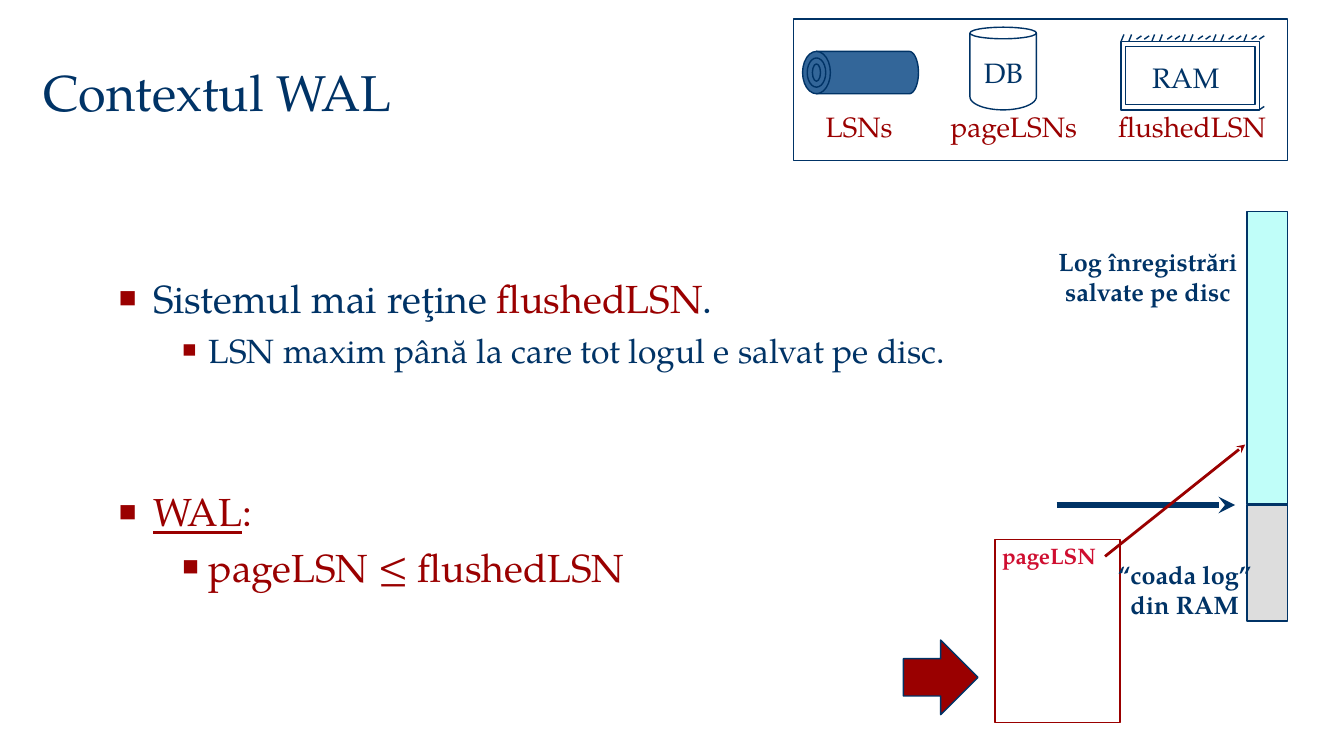
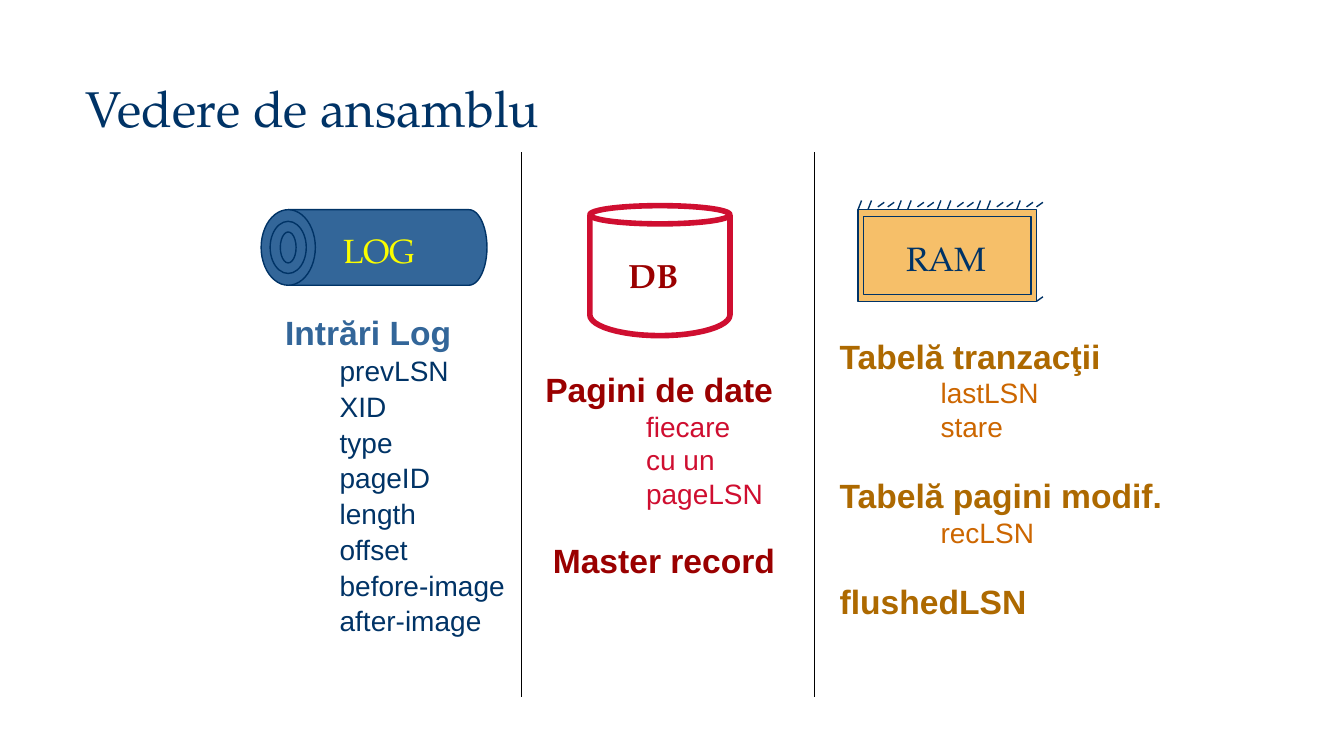
from math import cos, pi, sin

from lxml.etree import SubElement
from pptx import Presentation
from pptx.dml.color import RGBColor
from pptx.enum.shapes import MSO_CONNECTOR, MSO_SHAPE
from pptx.enum.text import MSO_ANCHOR, PP_ALIGN
from pptx.oxml.ns import qn
from pptx.util import Inches, Pt

NAVY = RGBColor(0x00, 0x33, 0x66)
BLUE = RGBColor(0x33, 0x66, 0x99)
DARK_RED = RGBColor(0x9A, 0x00, 0x00)
RED = RGBColor(0xCF, 0x0E, 0x30)
BROWN = RGBColor(0xAD, 0x69, 0x00)
ORANGE = RGBColor(0xCC, 0x66, 0x00)
SAND = RGBColor(0xF6, 0xBF, 0x69)
YELLOW = RGBColor(0xFA, 0xFD, 0x00)
AQUA = RGBColor(0xC0, 0xFE, 0xF9)
GREY = RGBColor(0xDD, 0xDD, 0xDD)
WHITE = RGBColor(0xFF, 0xFF, 0xFF)
BLACK = RGBColor(0x00, 0x00, 0x00)
SERIF, SANS = "TeX Gyre Pagella", "Arial"

LEVEL1 = dict(margin=0.34, hang=0.34, bullet=75)
LEVEL2 = dict(margin=0.89, hang=0.26, bullet=70, before=6)
WAL_POINTS = [
    ([("Sistemul mai reţine ", {}), ("flushedLSN", dict(color=DARK_RED)), (".", {})], LEVEL1),
    ("LSN maxim până la care tot logul e salvat pe disc.", dict(LEVEL2, size=24)),
    ([("WAL", dict(underline=True)), (":", {})], dict(LEVEL1, before=84, color=DARK_RED)),
    ("pageLSN ≤ flushedLSN", dict(LEVEL2, color=DARK_RED)),
]
LEGEND = [("LSNs", 8.09, 0.87), ("pageLSNs", 9.33, 1.47), ("flushedLSN", 10.99, 1.68)]

LOG_FIELDS = ["prevLSN", "XID", "type", "pageID", "length", "offset",
              "before-image", "after-image"]
PAGE_FIELD = dict(size=20, color=RED, bold=False, margin=1)
DATA_PAGES = ["Pagini de date"] + [(t, PAGE_FIELD) for t in ("fiecare", "cu un", "pageLSN")]
RAM_FIELD = dict(size=20, color=ORANGE, bold=False, margin=1)
RAM_TABLES = [
    "Tabelă tranzacţii", ("lastLSN", RAM_FIELD), ("stare", RAM_FIELD),
    ("Tabelă pagini modif.", dict(before=23)), ("recLSN", RAM_FIELD),
    ("flushedLSN", dict(before=23)),
]


def text(s, x, y, w, h, lines, wrap=False, anchor=MSO_ANCHOR.TOP, **base):
    tf = s.shapes.add_textbox(Inches(x), Inches(y), Inches(w), Inches(h)).text_frame
    tf.word_wrap, tf.vertical_anchor = wrap, anchor
    for i, line in enumerate([lines] if isinstance(lines, str) else lines):
        content, own = (line, {}) if isinstance(line, str) else line
        fmt = {**base, **own}
        p = tf.paragraphs[0] if i == 0 else tf.add_paragraph()
        p.alignment = fmt.get("align", PP_ALIGN.LEFT)
        p.space_before = Pt(fmt.get("before", 0) if i else 0)
        indent(p, **{k: fmt[k] for k in ("margin", "hang", "bullet") if k in fmt})
        for part, extra in [(content, {})] if isinstance(content, str) else content:
            look = {**fmt, **extra}
            r = p.add_run()
            r.text = part
            r.font.name = look.get("font", SERIF)
            r.font.size = Pt(look["size"])
            r.font.bold = look.get("bold", False)
            r.font.underline = look.get("underline", False)
            r.font.color.rgb = look.get("color", NAVY)


def indent(p, margin=0, hang=0, bullet=None):
    pPr = p._p.get_or_add_pPr()
    pPr.set("marL", str(Inches(margin)))
    pPr.set("indent", str(-Inches(hang)))
    if bullet:
        SubElement(SubElement(pPr, qn("a:buClr")), qn("a:srgbClr"), val=str(DARK_RED))
        SubElement(pPr, qn("a:buSzPct"), val=str(bullet * 1000))
        SubElement(pPr, qn("a:buFont"), typeface=SANS)
        SubElement(pPr, qn("a:buChar"), char="■")


def paint(sp, fill, line, weight):
    sp.shadow.inherit = False
    if fill is None:
        sp.fill.background()
    else:
        sp.fill.solid()
        sp.fill.fore_color.rgb = fill
    sp.line.color.rgb = line
    sp.line.width = Pt(weight)


def shape(s, kind, x, y, w, h, fill=None, line=NAVY, weight=1):
    sp = s.shapes.add_shape(kind, Inches(x), Inches(y), Inches(w), Inches(h))
    paint(sp, fill, line, weight)


def outline(s, points, close, fill=None, line=NAVY, weight=1):
    (x, y), *rest = [(Inches(px), Inches(py)) for px, py in points]
    fb = s.shapes.build_freeform(x, y, scale=1.0)
    fb.add_line_segments(rest, close=close)
    paint(fb.convert_to_shape(), fill, line, weight)


def line(s, x1, y1, x2, y2, color=NAVY, weight=1, arrow=False):
    c = s.shapes.add_connector(MSO_CONNECTOR.STRAIGHT, Inches(x1), Inches(y1),
                               Inches(x2), Inches(y2))
    c.line.color.rgb = color
    c.line.width = Pt(weight)
    if arrow:
        SubElement(c.line._get_or_add_ln(), qn("a:tailEnd"), type="stealth")
    SubElement(c._element.spPr, qn("a:effectLst"))


def half_arc(cx, cy, rx, ry, start, steps=24):
    angles = [start + pi * i / steps for i in range(steps + 1)]
    return [(cx + rx * cos(a), cy + ry * sin(a)) for a in angles]


def log_roll(s, x, y, w, h):
    cx, cy, cap = x + 0.12 * w, y + h / 2, 0.08 * w
    end = half_arc(x + w - cap, cy, cap, h / 2, -pi / 2)
    outline(s, [(cx, y)] + end + [(cx, y + h)], True, fill=BLUE)
    for rw, rh in ((0.24, 1), (0.16, 0.69), (0.07, 0.41)):
        shape(s, MSO_SHAPE.OVAL, cx - rw * w / 2, cy - rh * h / 2, rw * w, rh * h, fill=BLUE)


def disk(s, x, y, w, h, color=NAVY, weight=1):
    lid, base = 0.14 * h, 0.16 * h
    top, bottom = y + lid / 2, y + h - base
    curve = half_arc(x + w / 2, bottom, w / 2, base, 0)
    outline(s, [(x + w, top)] + curve + [(x, top)], False, line=color, weight=weight)
    shape(s, MSO_SHAPE.OVAL, x, y, w, lid, line=color, weight=weight)


def ram_chip(s, x, y, w, h, fill=None):
    shape(s, MSO_SHAPE.RECTANGLE, x, y, w, h, fill=fill)
    shape(s, MSO_SHAPE.RECTANGLE, x + 0.03 * w, y + 0.075 * h, 0.94 * w, 0.85 * h)
    gaps = 18
    for i in range(gaps + 1):
        px = x + w * i / gaps
        if i % 4 < 2 and i < gaps - 1:
            line(s, px, y, px + 0.02 * w, y - 0.1 * h)
        else:
            line(s, px, y - 0.03 * h, px + 0.036 * w, y - 0.08 * h)
    line(s, x + w, y + h, x + 1.036 * w, y + 0.95 * h)


def title(s, x, y, w, words):
    text(s, x, y, w, 0.71, words, wrap=True, anchor=MSO_ANCHOR.MIDDLE, size=36)


def wal_context(s):
    shape(s, MSO_SHAPE.RECTANGLE, 7.87, 0.19, 4.9, 1.4, fill=WHITE)
    title(s, 0.33, 0.55, 7.4, "Contextul WAL")
    log_roll(s, 7.96, 0.51, 1.15, 0.42)
    disk(s, 9.62, 0.27, 0.66, 0.82)
    ram_chip(s, 11.12, 0.41, 1.37, 0.68)
    text(s, 9.66, 0.5, 0.59, 0.43, "DB", size=20)
    text(s, 11.33, 0.55, 0.87, 0.43, "RAM", size=20)
    for label, x, w in LEGEND:
        text(s, x, 1.04, w, 0.43, label, size=20, color=DARK_RED)

    shape(s, MSO_SHAPE.RECTANGLE, 12.37, 2.1, 0.4, 2.9, fill=AQUA)
    shape(s, MSO_SHAPE.RECTANGLE, 12.37, 5.01, 0.4, 1.15, fill=GREY)
    shape(s, MSO_SHAPE.RECTANGLE, 9.87, 5.35, 1.24, 1.82, line=DARK_RED)
    text(s, 9.84, 5.33, 1.15, 0.37, "pageLSN", size=16, color=RED, bold=True)
    line(s, 10.48, 5.01, 12.25, 5.01, weight=4, arrow=True)
    line(s, 10.96, 5.52, 12.35, 4.41, color=DARK_RED, weight=2, arrow=True)
    note = dict(size=18, bold=True, align=PP_ALIGN.CENTER)
    text(s, 10.39, 2.39, 1.99, 0.7, ["Log înregistrări", "salvate pe disc"], **note)
    text(s, 10.98, 5.5, 1.54, 0.7, ["“coada log”", "din RAM"], **note)
    shape(s, MSO_SHAPE.RIGHT_ARROW, 8.96, 6.35, 0.74, 0.74, fill=DARK_RED)
    text(s, 1.08, 2.67, 8.7, 3.5, WAL_POINTS, wrap=True, size=28)


def overview(s):
    title(s, 0.75, 0.71, 10.92, "Vedere de ansamblu")
    for x in (5.17, 8.08):
        line(s, x, 1.51, x, 6.91, color=BLACK)
    heading = dict(size=24, font=SANS, bold=True)

    log_roll(s, 2.59, 2.08, 2.24, 0.75)
    text(s, 3.31, 2.23, 0.93, 0.5, "LOG", size=24, color=YELLOW)
    text(s, 2.73, 3.05, 1.86, 0.5, "Intrări Log", color=BLUE, **heading)
    text(s, 3.27, 3.46, 1.85, 2.82, LOG_FIELDS, size=20, font=SANS, before=1.5)

    disk(s, 5.85, 2.04, 1.39, 1.29, color=RED, weight=4)
    text(s, 6.14, 2.48, 0.7, 0.5, "DB", size=24, color=DARK_RED, bold=True)
    text(s, 5.31, 3.61, 2.46, 1.51, DATA_PAGES, color=DARK_RED, **heading)
    text(s, 5.37, 5.31, 2.43, 0.5, "Master record", color=DARK_RED,
         align=PP_ALIGN.CENTER, **heading)

    ram_chip(s, 8.51, 2.08, 1.77, 0.91, fill=SAND)
    text(s, 8.89, 2.31, 1, 0.5, "RAM", size=24)
    text(s, 8.23, 3.28, 3.42, 3.33, RAM_TABLES, color=BROWN, **heading)


def main():
    prs = Presentation()
    prs.slide_width, prs.slide_height = Inches(13.33), Inches(7.5)
    for build in (wal_context, overview):
        build(prs.slides.add_slide(prs.slide_layouts[6]))
    prs.save("out.pptx")


if __name__ == "__main__":
    main()
